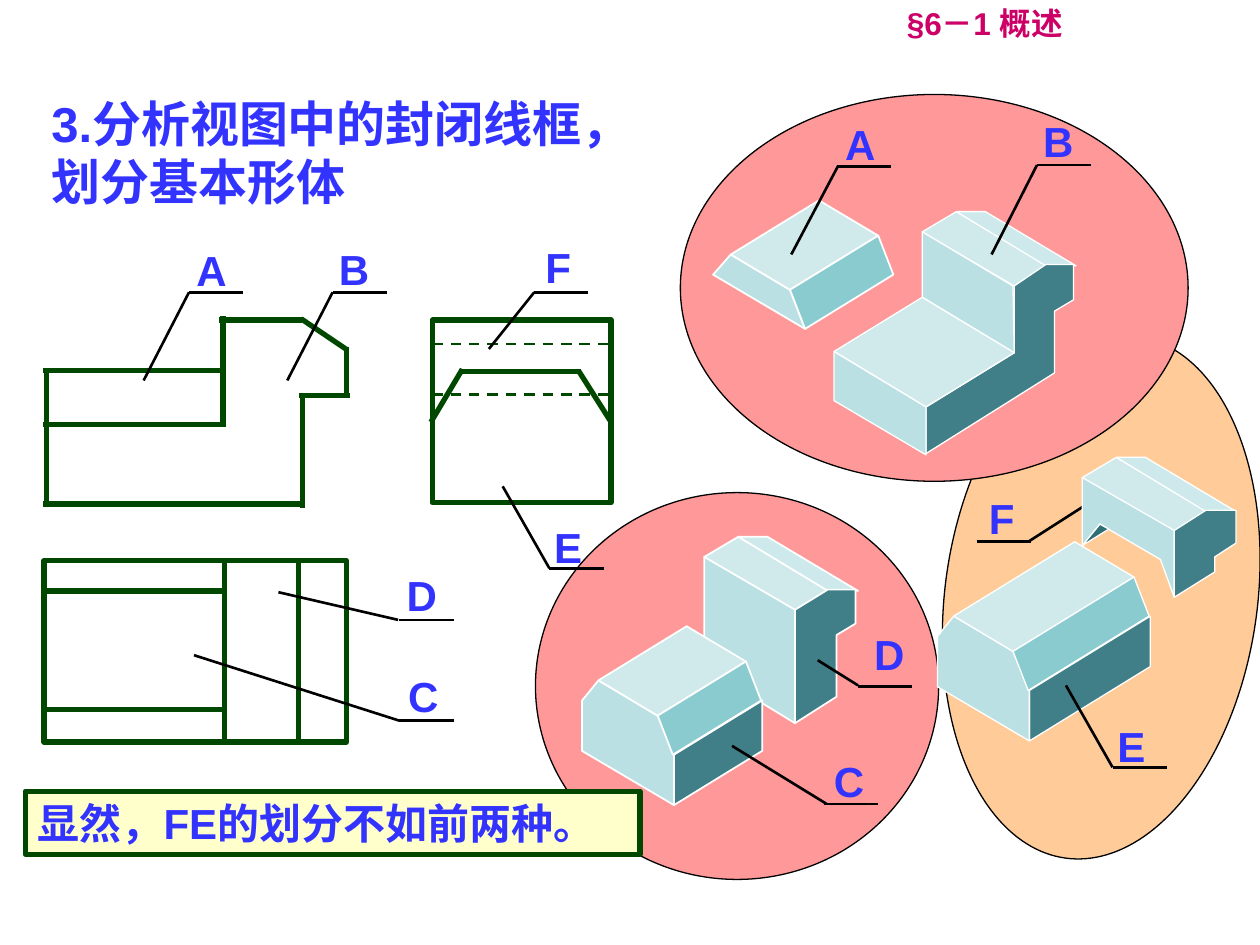
import pptx
import pptx.dml.color
import pptx.enum.dml
import pptx.enum.shapes
import pptx.enum.text
import pptx.oxml.ns
import pptx.util
from lxml import etree

PX = 9144  # EMU in one px, at 100 px to the inch
SHAPE = pptx.enum.shapes.MSO_SHAPE
ALIGN = pptx.enum.text.PP_ALIGN
COLORS = {
    "heading": "CC0066", "text": "3333FF", "outline": "004800", "black": "000000",
    "white": "FFFFFF", "rose": "FF9999", "peach": "FFCC99", "cream": "FFFFCC",
    "top": "D0EAEC", "ridge": "CDE9EB", "front": "BBE0E3", "slope": "8ACBD0",
    "side": "407F88", "notch": "2F6E73",
}

VIEW_LINES = [
    # front view
    (34, 400, 240, 400), (34, 337, 178, 337), (34, 294, 178, 294), (37, 294, 37, 400),
    (177, 251, 177, 339), (240, 314, 240, 403), (237, 314, 278, 314), (275, 275, 275, 314),
    (174, 254, 240, 254), (239, 253, 276, 278),
    # side view
    (342, 335, 367, 293), (485, 335, 459, 294), (364, 295, 461, 295),
    # top view
    (34, 469, 178, 469), (35, 563, 179, 563),
]
HIDDEN_LINES = [(343, 273, 485, 273), (343, 313, 485, 313)]
VIEW_FRAMES = [(343, 254, 142, 145), (35, 445, 202, 144), (178, 445, 97, 144)]

# letter, text box corner, shelf start, knee of the pointer, tip of the pointer
LEADERS = [
    ("A", (146, 189), (150, 232), (150, 232), (114, 302)),
    ("B", (259, 188), (264, 232), (264, 232), (228, 302)),
    ("F", (423, 187), (424, 232), (424, 232), (388, 277)),
    ("E", (430, 409), (436, 451), (436, 451), (399, 386)),
    ("D", (313, 447), (317, 492), (316, 492), (221, 470)),
    ("C", (314, 527), (317, 572), (317, 572), (154, 520)),
    ("A", (661, 89), (664, 132), (665, 132), (628, 202)),
    ("B", (818, 87), (823, 131), (823, 131), (787, 202)),
    ("F", (775, 386), (775, 430), (816, 430), (866, 398)),
    ("D", (684, 494), (681, 545), (681, 544), (649, 524)),
    ("C", (652, 595), (654, 638), (656, 638), (581, 592)),
    ("E", (877, 567), (883, 609), (883, 609), (846, 544)),
]

# Faces of the solids, measured from the upper left corner of the top face
ROOF = [
    ("top", [(0, 0), (27, -16), (99, 27), (73, 43), (3, 2)]),
    ("ridge", [(27, -16), (50, -16), (122, 27), (98, 27)]),
]
STEPPED_BLOCK = ROOF + [
    ("side", [(73, 43), (73, 96), (3, 139), (3, 176), (105, 112), (105, 63),
              (120, 54), (120, 26), (98, 26)]),
    ("front", [(0, 0), (0, 52), (73, 96), (72, 43)]),
    ("top", [(0, 52), (-70, 95), (3, 139), (73, 96)]),
    ("front", [(-70, 95), (-70, 134), (3, 177), (3, 139)]),
]
UPRIGHT_BLOCK = ROOF + [
    ("side", [(72, 42), (72, 132), (105, 111), (105, 62), (120, 53), (120, 26), (98, 26)]),
    ("front", [(0, 0), (0, 88), (72, 132), (72, 42)]),
]
NOTCHED_BLOCK = ROOF + [
    ("front", [(0, 0), (0, 54), (14, 37), (62, 65), (73, 95), (73, 42)]),
    ("side", [(73, 42), (98, 26), (122, 26), (122, 52), (105, 63), (105, 75), (73, 95)]),
    ("notch", [(0, 54), (21, 41), (14, 37)]),
]
WEDGE_END = ("front", [(0, 0), (-14, 16), (59, 59), (47, 28)])
PRISM_END = ("front", [(0, 0), (-13, 16), (-13, 56), (60, 99), (60, 59), (47, 28)])


def rgb(name):
    return pptx.dml.color.RGBColor.from_string(COLORS[name])


def style_shape(shape, fill, line, width):
    shape.shadow.inherit = False
    if fill:
        shape.fill.solid()
        shape.fill.fore_color.rgb = rgb(fill)
    else:
        shape.fill.background()
    shape.line.color.rgb = rgb(line)
    shape.line.width = pptx.util.Pt(width)


def place(shape, left, top, width, height):
    shape.left, shape.top = left * PX, top * PX
    shape.width, shape.height = width * PX, height * PX


def write_text(shape, text, size=24, color="text", align=ALIGN.LEFT,
               anchor=pptx.enum.text.MSO_ANCHOR.TOP):
    frame = shape.text_frame
    frame.word_wrap = True
    frame.vertical_anchor = anchor
    para = frame.paragraphs[0]
    para.alignment = align
    span = para.add_run()
    span.text = text
    span.font.name = "Arial"
    span.font.size = pptx.util.Pt(size)
    span.font.bold = True
    span.font.color.rgb = rgb(color)


def add_text_box(slide, area, text, **text_format):
    box = slide.shapes.add_textbox(*(length * PX for length in area))
    write_text(box, text, **text_format)


def add_preset(slide, kind, area, fill=None, line="outline", width=3):
    shape = slide.shapes.add_shape(kind, *(length * PX for length in area))
    style_shape(shape, fill, line, width)
    return shape


def add_line(slide, ends, color="outline", width=3, dashed=False):
    line = slide.shapes.add_connector(
        pptx.enum.shapes.MSO_CONNECTOR.STRAIGHT, *(length * PX for length in ends))
    line.line.color.rgb = rgb(color)
    line.line.width = pptx.util.Pt(width)
    if dashed:
        line.line.dash_style = pptx.enum.dml.MSO_LINE.DASH
    etree.SubElement(line._element.spPr, pptx.oxml.ns.qn("a:effectLst"))


def add_solid(slide, origin, faces, width=0.75):
    for color, corners in faces:
        points = [(origin[0] + x, origin[1] + y) for x, y in corners]
        builder = slide.shapes.build_freeform(*points[0], scale=PX)
        builder.add_line_segments(points[1:], close=True)
        style_shape(builder.convert_to_shape(), color, "white", width)


def extruded_faces(end, run, rise):
    """Faces of a chamfered bar whose end face is swept by (run, rise)."""
    def sweep(first, second):
        far = [(x + run, y + rise) for x, y in (second, first)]
        return [first, second] + far

    faces = [end, ("top", sweep((0, 0), (47, 28))), ("slope", sweep((47, 28), (59, 59)))]
    if end is PRISM_END:
        faces.insert(0, ("side", sweep((60, 59), (60, 99))))
    return faces


def add_leader(slide, letter, corner, shelf, knee, tip):
    box_width = 36 if letter in "ACD" else 48
    add_text_box(slide, (*corner, box_width, 50), letter)
    add_line(slide, (*shelf, shelf[0] + 43, shelf[1]), "black", 1.5)
    add_line(slide, (*knee, *tip), "black", 1.5)


def add_views(slide):
    for ends in VIEW_LINES:
        add_line(slide, ends)
    for ends in HIDDEN_LINES:
        add_line(slide, ends, width=1.5, dashed=True)
    for area in VIEW_FRAMES:
        add_preset(slide, SHAPE.RECTANGLE, area)


def main():
    deck = pptx.Presentation()
    deck.slide_width, deck.slide_height = 1000 * PX, 750 * PX
    slide = deck.slides.add_slide(deck.slide_layouts[5])
    middle = pptx.enum.text.MSO_ANCHOR.MIDDLE

    title = slide.shapes.title
    place(title, 563, -5, 437, 46)
    write_text(title, "§6－1 概述", size=18, color="heading", align=ALIGN.CENTER, anchor=middle)

    tilted = add_preset(slide, SHAPE.OVAL, (750, 265, 248, 418), "peach", "black", 0.75)
    tilted.rotation = 7.8
    for area in [(425, 391, 320, 307), (540, 75, 403, 307)]:
        add_preset(slide, SHAPE.OVAL, area, "rose", "black", 0.75)

    add_text_box(slide, (31, 69, 443, 104), "3.分析视图中的封闭线框，划分基本形体", size=28)
    add_views(slide)

    add_solid(slide, (732, 184), STEPPED_BLOCK)
    add_solid(slide, (580, 202), extruded_faces(WEDGE_END, 70, -43), width=1)
    add_solid(slide, (559, 442), UPRIGHT_BLOCK, width=1)
    add_solid(slide, (475, 540), extruded_faces(PRISM_END, 70, -43), width=1)
    add_solid(slide, (757, 489), extruded_faces(PRISM_END, 96, -59))
    for leader in LEADERS:
        add_leader(slide, *leader)
    add_solid(slide, (859, 379), NOTCHED_BLOCK)

    conclusion = add_preset(slide, SHAPE.RECTANGLE, (20, 628, 488, 50), "cream")
    write_text(conclusion, "显然，FE的划分不如前两种。", anchor=middle)
    deck.save("out.pptx")


if __name__ == "__main__":
    main()
